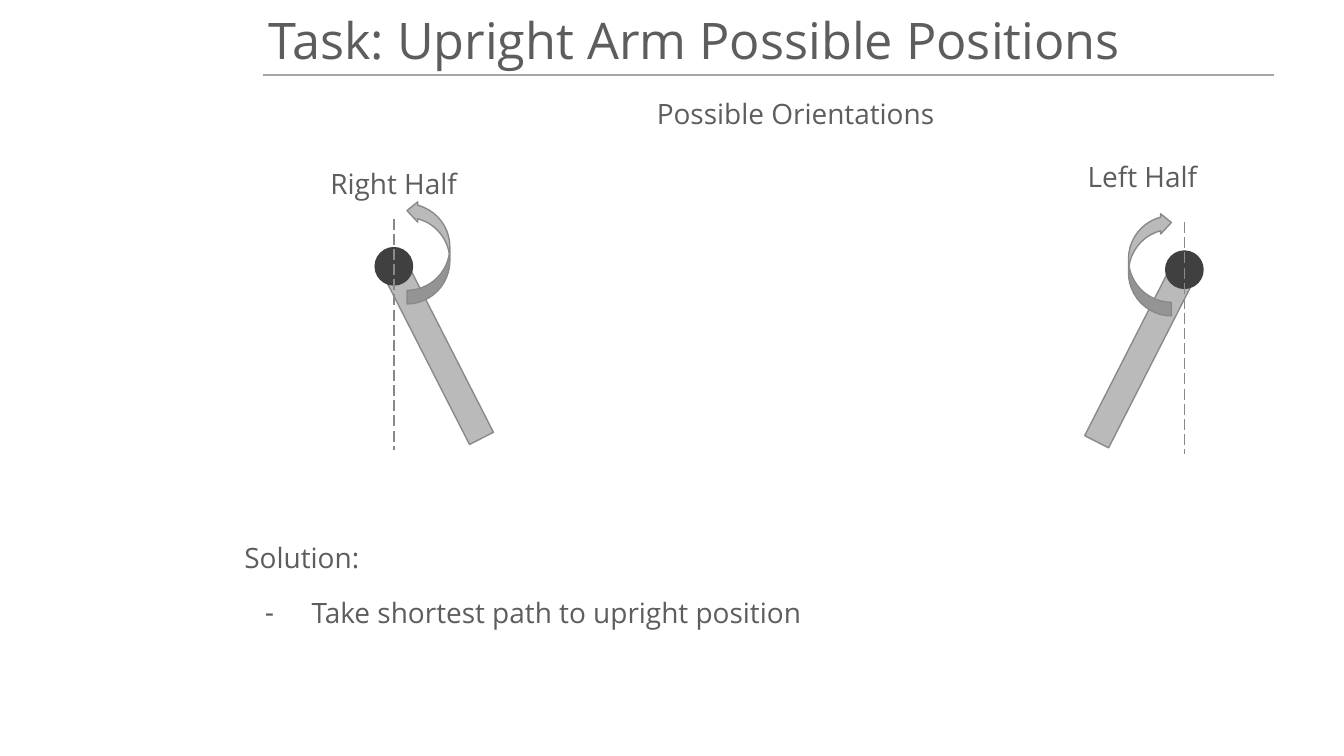
from math import cos, radians, sin

from lxml import etree
from pptx import Presentation
from pptx.dml.color import RGBColor
from pptx.enum import dml, shapes, text
from pptx.oxml import ns
from pptx.util import Pt

INK, STEEL, EDGE, HUB, RULE = "5D5D5D", "BABABA", "898989", "404040", "A5A5A5"
LEAN = 27


def color(target, value):
    """Set a colour format from a hex string."""
    target.rgb = RGBColor.from_string(value)


def place(part, box):
    """Move a shape to a box given in points."""
    part.left, part.top, part.width, part.height = (Pt(v) for v in box)


def add_bullet(paragraph, mark, margin, hang):
    """Set the hanging indent and the bullet of a paragraph; no mark means no bullet."""
    props = paragraph._p.get_or_add_pPr()
    props.set("marL", str(Pt(margin)))
    props.set("indent", str(Pt(-hang)))
    if mark:
        tint = etree.SubElement(props, ns.qn("a:buClr"))
        etree.SubElement(tint, ns.qn("a:srgbClr")).set("val", INK)
        etree.SubElement(props, ns.qn("a:buChar")).set("char", mark)
    else:
        etree.SubElement(props, ns.qn("a:buNone"))


def write(paragraph, words, size=15, align=text.PP_ALIGN.LEFT, before=0):
    """Write words into a paragraph with their format."""
    paragraph.alignment = align
    paragraph.space_before = Pt(before)
    run = paragraph.add_run()
    run.text = words
    run.font.size = Pt(size)
    run.font.name = "Open Sans"
    color(run.font.color, INK)


def prepare(holder, box, anchor=text.MSO_ANCHOR.TOP):
    """Place a text holder and return its frame, wrapped and with narrow margins."""
    place(holder, box)
    frame = holder.text_frame
    frame.word_wrap = True
    frame.auto_size = text.MSO_AUTO_SIZE.NONE
    frame.vertical_anchor = anchor
    frame.margin_left = frame.margin_right = Pt(2.7)
    frame.margin_top = frame.margin_bottom = Pt(2.7)
    return frame


def add_part(parent, kind, box, fill, edge):
    """Add a filled preset shape."""
    part = parent.add_shape(kind, *(Pt(v) for v in box))
    part.shadow.inherit = False
    part.fill.solid()
    color(part.fill.fore_color, fill)
    color(part.line.color, edge)
    part.line.width = Pt(0.75)
    return part


def add_line(slide, start, end, tint, width, dash=None):
    """Add a straight line between two points."""
    line = slide.shapes.add_connector(
        shapes.MSO_CONNECTOR.STRAIGHT, *(Pt(v) for v in start + end))
    color(line.line.color, tint)
    line.line.width = Pt(width)
    if dash:
        line.line.dash_style = dash
    etree.SubElement(line._element.spPr, ns.qn("a:effectLst"))


def add_heading(slide, box):
    """Fill the title and underline it along the bottom of its box."""
    left, top, width, height = box
    frame = prepare(slide.shapes.title, box, text.MSO_ANCHOR.MIDDLE)
    write(frame.paragraphs[0], "Task: Upright Arm Possible Positions", size=27)
    add_line(slide, (left, top + height), (left + width, top + height), RULE, 1)


def add_caption(slide, words, box):
    """Add a centred caption."""
    holder = slide.shapes.add_textbox(*(Pt(v) for v in box))
    write(prepare(holder, box).paragraphs[0], words, align=text.PP_ALIGN.CENTER)


def add_arm(slide, box, side, swing_rise):
    """Draw an arm hung from its vertical axis; side is 1 to lean right, -1 to lean left."""
    left, top, width, height = box
    axis = left if side > 0 else left + width
    pivot = top + 25.5
    rod_width, rod_length, reach, hub = 14.4, 105, 51, 20
    rod_x = axis + side * reach * sin(radians(LEAN))
    rod_y = pivot + reach * cos(radians(LEAN))

    arm = slide.shapes.add_group_shape()
    rod_box = (rod_x - rod_width / 2, rod_y - rod_length / 2, rod_width, rod_length)
    rod = add_part(arm.shapes, shapes.MSO_SHAPE.RECTANGLE, rod_box, STEEL, EDGE)
    rod.rotation = -side * LEAN
    hub_box = (axis - hub / 2, pivot - hub / 2, hub, hub)
    add_part(arm.shapes, shapes.MSO_SHAPE.OVAL, hub_box, HUB, HUB)

    swing_width, swing_height = 23, 55.4
    swing_x = axis + side * 18.5
    swing_box = (swing_x - swing_width / 2, pivot - swing_rise, swing_width, swing_height)
    swing = add_part(slide.shapes, shapes.MSO_SHAPE.CURVED_RIGHT_ARROW,
                     swing_box, STEEL, EDGE)
    swing.rotation = 180
    for index, value in enumerate((0.316, 0.47, 0.25)):
        swing.adjustments[index] = value
    if side < 0:
        swing._element.spPr.xfrm.set("flipH", "1")

    add_line(slide, (axis, top), (axis, top + height), EDGE, 0.75,
             dml.MSO_LINE.LONG_DASH)


def add_solution(slide, box):
    """Fill the body with the solution and its step."""
    frame = prepare(slide.placeholders[1], box)
    lead = frame.paragraphs[0]
    add_bullet(lead, None, 0, 0)
    write(lead, "Solution:")
    step = frame.add_paragraph()
    add_bullet(step, "-", 36, 25)
    write(step, "Take shortest path to upright position", before=12)


def main():
    """Build the slide and save it."""
    deck = Presentation()
    deck.slide_width, deck.slide_height = Pt(720), Pt(405)
    slide = deck.slides.add_slide(deck.slide_layouts[1])
    add_heading(slide, (141, 2, 541.5, 38))
    add_caption(slide, "Possible Orientations", (305, 49, 242.5, 28))
    add_caption(slide, "Right Half", (108.7, 86.4, 204.5, 28))
    add_caption(slide, "Left Half", (509.8, 82.8, 204.5, 28))
    add_arm(slide, (211, 117.2, 54, 124), 1, 35.3)
    add_arm(slide, (580.5, 119, 54, 124), -1, 30.7)
    add_solution(slide, (128.2, 286.6, 419.8, 100))
    deck.save("out.pptx")


if __name__ == "__main__":
    main()
